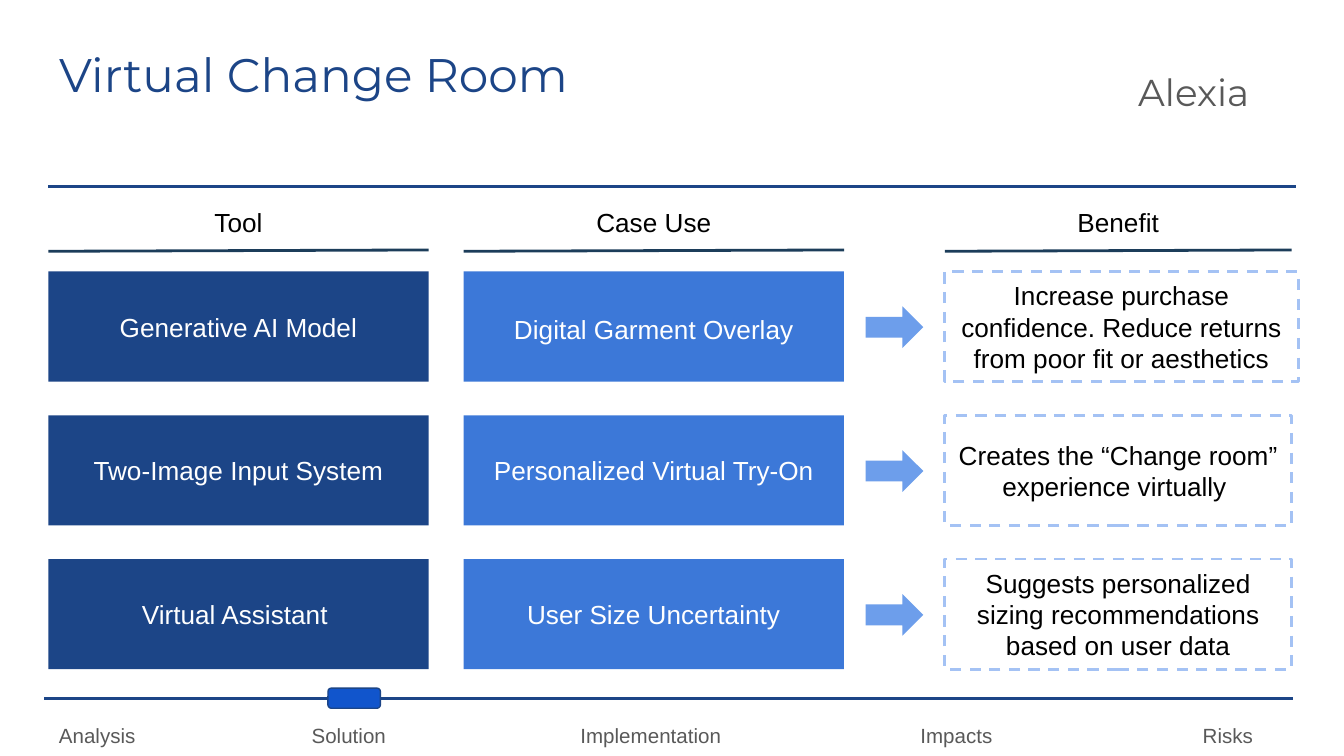
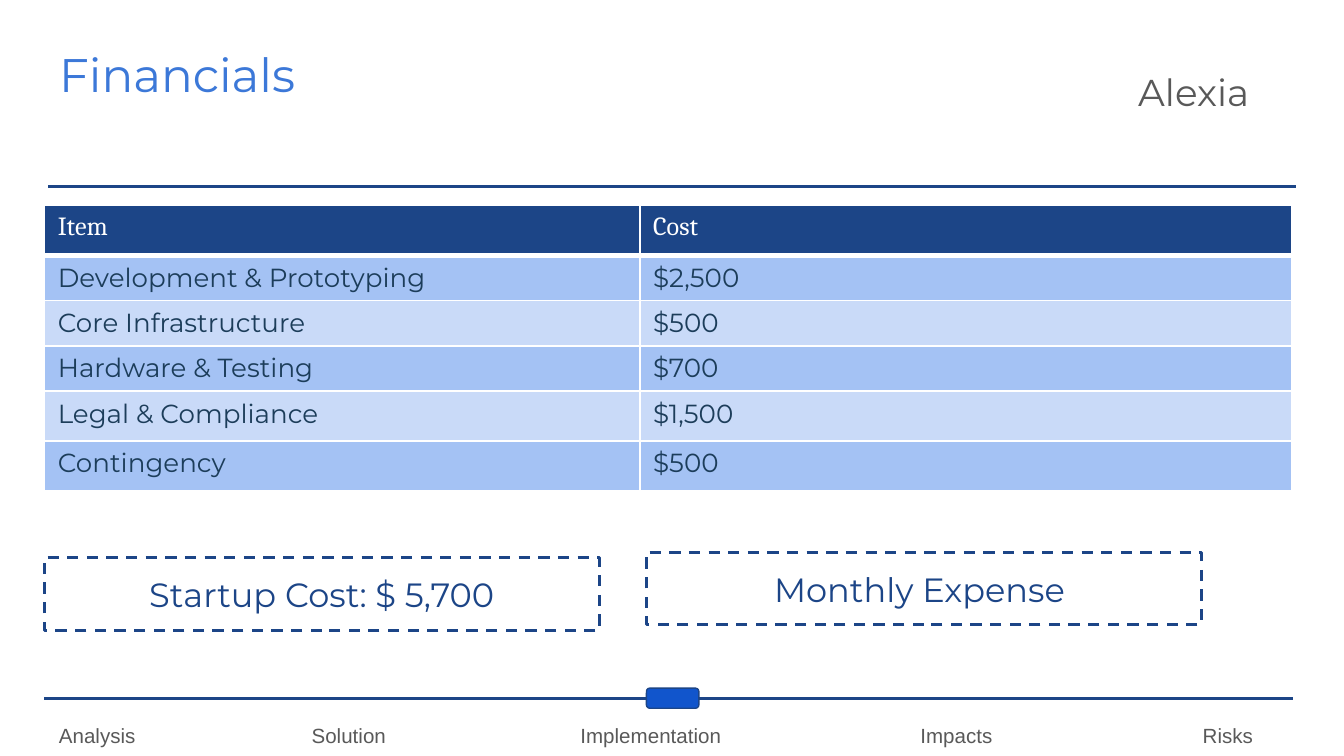
"""Builds two slides on a virtual change room: its tools and its costs."""
from lxml.etree import SubElement
from pptx import Presentation
from pptx.dml.color import RGBColor
from pptx.enum.dml import MSO_LINE
from pptx.enum.shapes import MSO_CONNECTOR, MSO_SHAPE as Form
from pptx.enum.text import MSO_ANCHOR as Anchor, MSO_AUTO_SIZE as Fit, PP_ALIGN as Align
from pptx.oxml.ns import qn
from pptx.util import Inches, Pt

NAVY = RGBColor(0x1C, 0x45, 0x87)
BLUE = RGBColor(0x3C, 0x78, 0xD8)
SKY = RGBColor(0x6D, 0x9E, 0xEB)
PALE = RGBColor(0xA4, 0xC2, 0xF4)
MIST = RGBColor(0xC9, 0xDA, 0xF8)
DEEP = RGBColor(0x1C, 0x3D, 0x5A)
MARK = RGBColor(0x11, 0x55, 0xCC)
GREY = RGBColor(0x59, 0x59, 0x59)
BLACK = RGBColor(0, 0, 0)
WHITE = RGBColor(255, 255, 255)

SANS, SERIF, BRIGHT = "Arial", "Cambria", "Montserrat"

SPEAKER = "Alexia"
STEPS = ["Analysis", "Solution", "Implementation", "Impacts", "Risks"]
TABS = [1.88, 3.88, 6.41, 8.51]

TOOLS = [
    dict(head="Tool", left=0.36, width=2.83, fill=NAVY, ink=WHITE, items=[
        ("Generative AI Model", {}),
        ("Two-Image Input System", {}),
        ("Virtual Assistant ", {}),
    ]),
    dict(head="Case Use", left=3.45, width=2.83, fill=BLUE, ink=WHITE, items=[
        ("Digital Garment Overlay", dict(space=1.15)),
        ("Personalized Virtual Try-On", {}),
        ("User Size Uncertainty", {}),
    ]),
    dict(head="Benefit", left=7.03, width=2.58, dash=PALE, ink=BLACK, items=[
        ("Increase purchase confidence. Reduce returns from poor fit or aesthetics",
         dict(width=2.63)),
        ("Creates the “Change room” experience virtually ", {}),
        ("Suggests personalized sizing recommendations based on user data", {}),
    ]),
]

COSTS = [
    ("Item", "Cost"),
    ("Development & Prototyping", "$2,500"),
    ("Core Infrastructure", "$500"),
    ("Hardware & Testing", "$700"),
    ("Legal & Compliance", "$1,500"),
    ("Contingency", "$500"),
]
WIDTHS = [4.43, 4.85]
HEIGHTS = [0.37, 0.31, 0.31, 0.31, 0.37, 0.37]
TOTALS = [("Startup Cost: $ 5,700", 0.33, 4.15), ("Monthly Expense ", 4.81, 4.11)]


def write(frame, text, size=14, font=SANS, ink=BLACK, align=Align.CENTER,
          anchor=Anchor.MIDDLE, pad=0.05, space=None, after=None, tabs=()):
    """Put one formatted paragraph into a text frame."""
    frame.word_wrap = True
    frame.auto_size = Fit.NONE
    frame.vertical_anchor = anchor
    frame.margin_left = frame.margin_right = Inches(0.1)
    frame.margin_top = frame.margin_bottom = Inches(pad)
    para = frame.paragraphs[0]
    para.alignment = align
    if space:
        para.line_spacing = space
    if after:
        para.space_after = Pt(after)
    if tabs:
        stops = SubElement(para._p.get_or_add_pPr(), qn("a:tabLst"))
        for stop in tabs:
            SubElement(stops, qn("a:tab"), pos=str(Inches(stop)), algn="l")
    run = para.add_run()
    run.text = text
    run.font.size = Pt(size)
    run.font.name = font
    run.font.color.rgb = ink


def label(slide, text, left, top, width, height, **style):
    """Add a text box."""
    box = slide.shapes.add_textbox(*map(Inches, (left, top, width, height)))
    write(box.text_frame, text, **style)


def block(slide, form, left, top, width, height, fill=None, line=None, dash=None, weight=1.5):
    """Add a preset shape with an optional fill and plain or dashed outline."""
    shape = slide.shapes.add_shape(form, *map(Inches, (left, top, width, height)))
    shape.shadow.inherit = False
    if fill:
        shape.fill.solid()
        shape.fill.fore_color.rgb = fill
    else:
        shape.fill.background()
    if line or dash:
        shape.line.color.rgb = line or dash
        shape.line.width = Pt(weight)
    else:
        shape.line.fill.background()
    if dash:
        shape.line.dash_style = MSO_LINE.DASH
    return shape


def rule(slide, left, top, right, end, ink=NAVY):
    """Draw a straight line."""
    line = slide.shapes.add_connector(
        MSO_CONNECTOR.STRAIGHT, *map(Inches, (left, top, right, end)))
    line.line.color.rgb = ink
    line.line.width = Pt(1.5)
    SubElement(line._element.spPr, qn("a:effectLst"))


def border(cell, top, bottom):
    """Give a table cell white borders."""
    props = cell._tc.get_or_add_tcPr()
    for side, weight in zip("LRTB", (1, 1, top, bottom)):
        edge = SubElement(props, qn("a:ln" + side), w=str(Pt(weight)))
        fill = SubElement(edge, qn("a:solidFill"))
        SubElement(fill, qn("a:srgbClr"), val=str(WHITE))


def start(deck, title, ink, mark):
    """Add a slide with its title, rules, speaker and progress bar."""
    slide = deck.slides.add_slide(deck.slide_layouts[5])
    head = slide.shapes.title
    head.left, head.top, head.width, head.height = map(Inches, (0.34, 0.24, 9.32, 0.63))
    plain = dict(align=Align.LEFT, anchor=Anchor.TOP, pad=0.1)
    write(head.text_frame, title, size=25.2, font=BRIGHT, ink=ink, **plain)
    rule(slide, 0.33, 5.2, 9.62, 5.2)
    rule(slide, 0.36, 1.39, 9.64, 1.39)
    label(slide, SPEAKER, 8.37, 0.45, 1.29, 0.66, size=20, font=BRIGHT, ink=GREY,
          space=0.9, **plain)
    label(slide, "\t".join(STEPS), 0.34, 5.29, 9.32, 0.41, size=11, ink=GREY,
          space=0.95, after=12, tabs=TABS, **plain)
    block(slide, Form.ROUNDED_RECTANGLE, mark, 5.12, 0.39, 0.15, fill=MARK, line=NAVY, weight=0.75)
    return slide


def tools(deck):
    """Build the grid of tools, uses and benefits."""
    slide = start(deck, "Virtual Change Room", NAVY, 2.44)
    tops = [2.02 + 1.07 * row for row in range(3)]
    for col in TOOLS:
        left, width = col["left"], col["width"]
        label(slide, col["head"], left, 1.49, width, 0.32)
        rule(slide, left, 1.87, left + width, 1.86, DEEP)
        for top, (text, extra) in zip(tops, col["items"]):
            box = block(slide, Form.RECTANGLE, left, top, extra.get("width", width), 0.82,
                        fill=col.get("fill"), dash=col.get("dash"))
            write(box.text_frame, text, ink=col["ink"], space=extra.get("space"))
    for top in tops:
        block(slide, Form.RIGHT_ARROW, 6.44, top + 0.26, 0.43, 0.31, fill=SKY)


def costs(deck):
    """Build the cost table and its totals."""
    slide = start(deck, "Financials", BLUE, 4.81)
    grid = slide.shapes.add_table(
        len(COSTS), len(WIDTHS),
        *map(Inches, (0.33, 1.53, sum(WIDTHS), sum(HEIGHTS)))).table
    for col, width in zip(grid.columns, WIDTHS):
        col.width = Inches(width)
    for row, (height, texts) in enumerate(zip(HEIGHTS, COSTS)):
        grid.rows[row].height = Inches(height)
        top = row == 0
        for col, text in enumerate(texts):
            cell = grid.cell(row, col)
            border(cell, 3 if row == 1 else 1, 3 if top else 1)
            cell.fill.solid()
            cell.fill.fore_color.rgb = NAVY if top else PALE if row % 2 else MIST
            cell.margin_left = cell.margin_right = Inches(0.1)
            cell.margin_top = cell.margin_bottom = Inches(0.05)
            write(cell.text_frame, text, font=SERIF if top else BRIGHT,
                  ink=WHITE if top else DEEP, align=Align.LEFT, anchor=Anchor.TOP)
    for text, left, top in TOTALS:
        box = block(slide, Form.RECTANGLE, left, top, 4.13, 0.54, dash=NAVY)
        write(box.text_frame, text, size=18, font=BRIGHT, ink=NAVY)


def main():
    """Build and save the deck."""
    deck = Presentation()
    deck.slide_width = Inches(10)
    deck.slide_height = deck.slide_width * 9 // 16
    tools(deck)
    costs(deck)
    deck.save("out.pptx")


if __name__ == "__main__":
    main()
